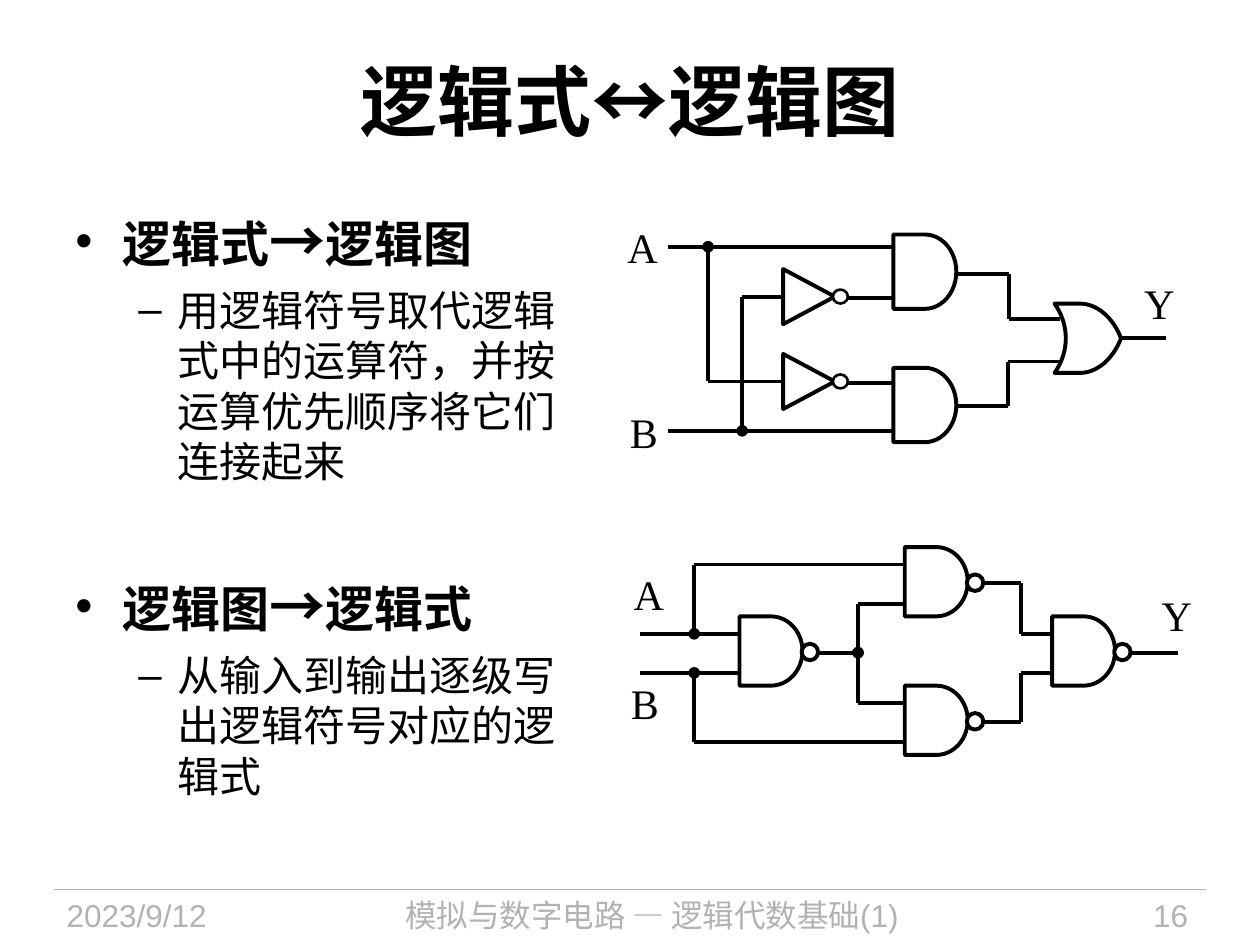
from dataclasses import dataclass

from lxml import etree
from pptx import Presentation
from pptx.dml.color import RGBColor
from pptx.enum import shapes, text
from pptx.oxml import ns
from pptx.util import Pt


@dataclass(frozen=True)
class Theme:
    ink: RGBColor = RGBColor(0, 0, 0)
    paper: RGBColor = RGBColor(255, 255, 255)
    gray: RGBColor = RGBColor(0xB2, 0xB2, 0xB2)
    sans: str = "Arial"
    serif: str = "Times New Roman"
    title: float = 44
    head: float = 28
    arrow: float = 32
    body: float = 24
    foot: float = 18
    wire: float = 2.25
    ring: float = 1.5


T = Theme()
KIND = shapes.MSO_SHAPE
ALIGN = text.PP_ALIGN


def put_run(para, words, size, color=T.ink, face=T.sans, bold=False):
    run = para.add_run()
    run.text = words
    font = run.font
    font.name, font.size, font.bold = face, Pt(size), bold
    font.color.rgb = color


def put_box(slide, x, y, w, h, align=ALIGN.LEFT, middle=False):
    frame = slide.shapes.add_textbox(Pt(x), Pt(y), Pt(w), Pt(h)).text_frame
    frame.word_wrap = True
    if middle:
        frame.vertical_anchor = text.MSO_ANCHOR.MIDDLE
    frame.paragraphs[0].alignment = align
    return frame


def put_line(slide, start, end, width=T.wire, color=T.ink, dot=False):
    line = slide.shapes.add_connector(
        shapes.MSO_CONNECTOR.STRAIGHT, *(Pt(v) for v in (*start, *end)))
    line.line.width = Pt(width)
    line.line.color.rgb = color
    if dot:
        etree.SubElement(line.line._get_or_add_ln(), ns.qn("a:headEnd"), type="oval")
    etree.SubElement(line._element.spPr, ns.qn("a:effectLst"))


def style(shape, width=T.wire):
    shape.shadow.inherit = False
    shape.fill.solid()
    shape.fill.fore_color.rgb = T.paper
    shape.line.width = Pt(width)
    shape.line.color.rgb = T.ink


def put_shape(slide, kind, x, y, w, h, width=T.wire):
    shape = slide.shapes.add_shape(kind, Pt(x), Pt(y), Pt(w), Pt(h))
    style(shape, width)
    return shape


def put_wires(slide, left, top, wires):
    for dot, *points in wires:
        spots = [(left + x, top + y) for x, y in points]
        for n, (start, end) in enumerate(zip(spots, spots[1:])):
            put_line(slide, start, end, dot=dot and n == 0)


def put_names(slide, left, top, names):
    for name, x, y in names:
        frame = put_box(slide, left + x - 15, top + y - 18, 30, 36, ALIGN.CENTER, True)
        frame.margin_left = frame.margin_right = 0
        frame.margin_top = frame.margin_bottom = 0
        put_run(frame.paragraphs[0], name, T.body, face=T.serif)


def put_not(slide, x, y):
    shape = put_shape(slide, KIND.ISOSCELES_TRIANGLE, x - 1, y - 14.75, 31.5, 29.5)
    shape.rotation = 90
    put_shape(slide, KIND.OVAL, x + 28.4, y - 4, 8.6, 8, T.ring)


def put_nand(slide, x, y):
    put_shape(slide, KIND.FLOWCHART_DELAY, x, y - 19.8, 36, 39.6)
    put_shape(slide, KIND.OVAL, x + 35.5, y - 4.1, 9.4, 9.4)


def bend(start, pull, push, end, steps=16):
    for n in range(1, steps + 1):
        t = n / steps
        s = 1 - t
        yield tuple(
            Pt(a * s**3 + 3 * b * s * s * t + 3 * c * s * t * t + d * t**3)
            for a, b, c, d in zip(start, pull, push, end))


def put_or(slide, x, y, w, h):
    mid = y + h / 2
    neck, tip = x + 14.4, (x + w, mid)
    low = y + h
    pen = slide.shapes.build_freeform(Pt(x), Pt(y), scale=1.0)
    points = [(Pt(neck), Pt(y))]
    points += bend((neck, y), (neck + 10, y), (neck + 19, y + 8), tip)
    points += bend(tip, (neck + 19, low - 8), (neck + 10, low), (neck, low))
    points.append((Pt(x), Pt(low)))
    points += bend((x, low), (x + 8.6, low - 12), (x + 8.6, y + 12), (x, y))
    pen.add_line_segments(points, close=True)
    style(pen.convert_to_shape())


def and_or(slide, left, top):
    tall = 42.5
    rows = (47.5, 96)
    put_wires(slide, left, top, [
        (False, (29.6, 19), (163, 19)),
        (False, (29.6, 124.2), (163, 124.2)),
        (True, (52.6, 19), (52.6, rows[1]), (95.5, rows[1])),
        (True, (72.1, 124.2), (72.1, rows[0]), (95.5, rows[0])),
        *[(False, (132, y + 1), (163, y + 1)) for y in rows],
        (False, (194, 34.8), (224.4, 34.8), (224.4, 60.2), (253.5, 60.2)),
        (False, (194, 109.8), (224, 109.8), (224, 84.6), (253.5, 84.6)),
        (False, (288, 71.2), (314, 71.2)),
    ])
    spot = (left + 236.2, top + 45.8)
    put_line(slide, spot, spot, 1)
    for y in (12, 88.2):
        put_shape(slide, KIND.FLOWCHART_DELAY, left + 158.5, top + y, 36, tall)
    for y in rows:
        put_not(slide, left + 95.5, top + y)
    put_or(slide, left + 250.6, top + 51.5, 38, 39.6)
    put_names(slide, left, top,
              [("A", 15.2, 19), ("B", 16, 124.5), ("Y", 310.4, 51)])


def nand_net(slide, left, top):
    high, low = 50.2, 72.5
    put_wires(slide, left, top, [
        (False, (7.8, high), (65.4, high)),
        (False, (7.8, low), (65.4, low)),
        (True, (38.7, high), (38.7, 10.6), (159.7, 10.6)),
        (True, (38.7, low), (38.7, 112), (159.7, 112)),
        (False, (110, 61), (132.3, 61)),
        (True, (132.3, 61), (132.3, 32.9), (159.7, 32.9)),
        (True, (132.3, 61), (132.3, 89.8), (159.7, 89.8)),
        (False, (203.6, 21.4), (225.2, 21.4), (225.2, high), (243.5, high)),
        (False, (203.6, 100.6), (225.2, 100.6), (225.2, low), (243.5, low)),
        (False, (288.6, 61), (315.2, 61)),
    ])
    for x, y in ((64.6, 60), (159, 20.4), (159, 99.6), (243.2, 60)):
        put_nand(slide, left + x, top + y)
    put_names(slide, left, top,
              [("A", 12.8, 27), ("B", 10.6, 89.5), ("Y", 314.5, 39.5)])


def title(slide, x, y, w, h):
    frame = put_box(slide, x, y, w, h, ALIGN.CENTER, True)
    put_run(frame.paragraphs[0], "逻辑式↔逻辑图", T.title, bold=True)


def bullet(para, mark, left, hang):
    props = para._p.get_or_add_pPr()
    props.set("marL", str(Pt(left)))
    props.set("indent", str(-Pt(hang)))
    etree.SubElement(props, ns.qn("a:buFont"), typeface=T.sans)
    etree.SubElement(props, ns.qn("a:buChar"), char=mark)
    para.space_after = Pt(6)


def body(slide, x, y, w, h):
    frame = put_box(slide, x, y, w, h)
    topics = [
        ("逻辑式", "逻辑图", "用逻辑符号取代逻辑式中的运算符，并按运算优先顺序将它们连接起来"),
        ("逻辑图", "逻辑式", "从输入到输出逐级写出逻辑符号对应的逻辑式"),
    ]
    for n, (source, target, note) in enumerate(topics):
        para = frame.add_paragraph() if n else frame.paragraphs[0]
        bullet(para, "•", 27, 27)
        if n:
            para.space_before = Pt(43)
        for words, size in ((source, T.head), ("→", T.arrow), (target, T.head)):
            put_run(para, words, size, bold=True)
        para = frame.add_paragraph()
        para.level = 1
        bullet(para, "–", 58.5, 22.5)
        put_run(para, note, T.body)


def footer(slide, x, y, w, h):
    put_line(slide, (x, y), (x + w, y), 0.75, T.gray)
    for words, shift, wide, align in (
            ("2023/9/12", 0, 135, ALIGN.LEFT),
            ("模拟与数字电路 — 逻辑代数基础(1)", 148.5, 386, ALIGN.CENTER),
            ("16", 559.5, 95.5, ALIGN.RIGHT)):
        frame = put_box(slide, x + shift, y, wide, h, align)
        put_run(frame.paragraphs[0], words, T.foot, T.gray)


def main():
    deck = Presentation()
    deck.slide_width, deck.slide_height = Pt(720), Pt(540)
    slide = deck.slides.add_slide(deck.slide_layouts[6])
    footer(slide, 31, 508.3, 658, 31.7)
    title(slide, 36, 12, 648, 90)
    body(slide, 36, 114.5, 290, 388)
    nand_net(slide, 358, 312)
    and_or(slide, 352, 122)
    deck.save("out.pptx")


if __name__ == "__main__":
    main()
